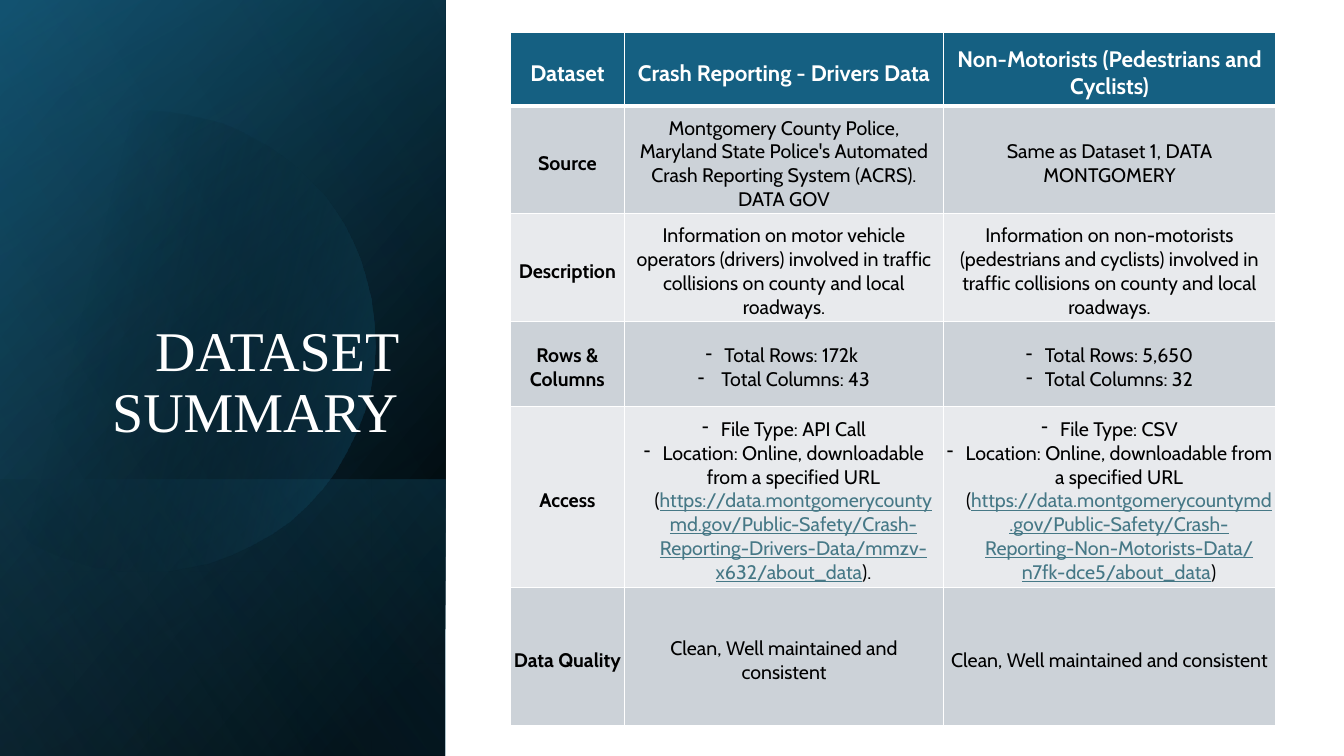
from lxml.etree import SubElement
from pptx import Presentation
from pptx.dml.color import RGBColor
from pptx.enum.shapes import MSO_SHAPE as Preset
from pptx.enum.text import MSO_ANCHOR as Anchor, MSO_AUTO_SIZE as AutoSize, PP_ALIGN as Align
from pptx.oxml import parse_xml
from pptx.oxml.ns import nsdecls, qn
from pptx.util import Pt

THEME = {
    "white": "FFFFFF", "black": "000000", "blue": "156082", "link": "467886",
    "bands": ("CCD2D8", "E8EAED"),
    "title_font": "Times New Roman", "table_font": "Cabin",
    "title_size": 40, "head_size": 16, "body_size": 14,
}

TITLE = "DATASET SUMMARY"
LOCATION = "Location: Online, downloadable from a specified URL ("
SITE = "https://data.montgomerycountymd.gov/Public-Safety/"
# A tuple cell is a bulleted list; a tuple bullet is (text, web address, text).
ROWS = [
    ["Dataset", "Crash Reporting - Drivers Data", "Non-Motorists (Pedestrians and Cyclists)"],
    ["Source",
     "Montgomery County Police, Maryland State Police's Automated Crash "
     "Reporting System (ACRS). DATA GOV",
     "Same as Dataset 1, DATA MONTGOMERY"],
    ["Description",
     "Information on motor vehicle operators (drivers) involved in traffic "
     "collisions on county and local roadways.",
     "Information on non-motorists (pedestrians and cyclists) involved in traffic "
     "collisions on county and local roadways."],
    ["Rows & Columns",
     ("Total Rows: 172k ", " Total Columns: 43"),
     ("Total Rows: 5,650", "Total Columns: 32")],
    ["Access",
     ("File Type: API Call",
      (LOCATION, SITE + "Crash-Reporting-Drivers-Data/mmzv-x632/about_data", ").")),
     ("File Type: CSV",
      (LOCATION, SITE + "Crash-Reporting-Non-Motorists-Data/n7fk-dce5/about_data", ")"))],
    ["Data Quality"] + ["Clean, Well maintained and consistent"] * 2,
]

SLIDE_WIDTH, SLIDE_HEIGHT = 960, 540
PANEL_WIDTH = 318.24
FOOT_HEIGHT = 197.3
TABLE_LEFT, TABLE_TOP = 364.3, 23.04
COLUMN_WIDTHS = [82, 227.5, 237.6]
ROW_HEIGHTS = [52.56, 77.04, 77.04, 60.48, 129.6, 98.64]
CELL_MARGINS = {"margin_left": Pt(2.16), "margin_top": Pt(6.5),
                "margin_right": Pt(2.16), "margin_bottom": Pt(0.7)}
BULLET_INDENT = 13.5

# Gradient stops are (position %, colour, opacity %).
BASE = ([(8, THEME["black"], 100), (100, "104862", 100)], 50)
GLOW = ([(0, THEME["black"], 0), (99, THEME["blue"], 46)], 30)
FOOT = ([(2, THEME["blue"], 29), (100, THEME["black"], 30)], 130)
DISC = ([(29, THEME["black"], 0), (100, THEME["blue"], 43)], 14)
SHEEN = ([(0, THEME["black"], 0), (99, "46B1E1", 11)], 120)

# Disc outline in inches: a start, then curves (three points) and lines (one point).
DISC_START = (1.49, 1.1)
DISC_SEGMENTS = [
    [(2.46, 1.12), (3.35, 1.77), (3.63, 2.75)],
    [(3.98, 3.97), (3.28, 5.23), (2.07, 5.58)],
    [(1.31, 5.8), (0.53, 5.61), (-0.03, 5.14)],
    [(-0.15, 5.03)], [(-0.15, 1.75)], [(0, 1.61)],
    [(0.23, 1.42), (0.5, 1.28), (0.8, 1.19)],
    [(1.03, 1.13), (1.26, 1.1), (1.49, 1.1)],
]
CURVE_STEPS = 16


def set_values(target, values):
    for name, value in values.items():
        setattr(target, name, value)


def style_font(font, name, size, colour, **values):
    set_values(font, {"name": name, "size": Pt(size), **values})
    font.color.rgb = RGBColor.from_string(colour)


def paint_gradient(shape, stops, angle):
    """Give a shape a linear gradient with opacity, no line and no shadow."""
    shape.shadow.inherit = False
    shape.line.fill.background()
    shape.fill.background()
    stop_xml = "".join(
        f'<a:gs pos="{position * 1000}"><a:srgbClr val="{colour}">'
        f'<a:alpha val="{opacity * 1000}"/></a:srgbClr></a:gs>'
        for position, colour, opacity in stops)
    gradient = parse_xml(
        f'<a:gradFill {nsdecls("a")} rotWithShape="1"><a:gsLst>{stop_xml}</a:gsLst>'
        f'<a:lin ang="{angle * 60000}" scaled="0"/></a:gradFill>')
    properties = shape._element.spPr
    properties.replace(properties.find(qn("a:noFill")), gradient)


def add_panel(slide, height, gradient):
    """Add a mirrored, quarter-turned rectangle that rests on the slide's bottom left."""
    left = (PANEL_WIDTH - height) / 2
    top = SLIDE_HEIGHT - (height + PANEL_WIDTH) / 2
    panel = slide.shapes.add_shape(Preset.RECTANGLE, Pt(left), Pt(top), Pt(height), Pt(PANEL_WIDTH))
    panel.rotation = 90
    panel._element.spPr.find(qn("a:xfrm")).set("flipH", "1")
    paint_gradient(panel, *gradient)


def outline_points(start, segments):
    """Turn lines and cubic curves into a list of points."""
    points = [start]
    for segment in segments:
        if len(segment) == 1:
            points += segment
            continue
        controls = [points[-1], *segment]
        for step in range(1, CURVE_STEPS + 1):
            t = step / CURVE_STEPS
            weights = ((1 - t) ** 3, 3 * t * (1 - t) ** 2, 3 * t * t * (1 - t), t ** 3)
            points.append(tuple(sum(w * c[axis] for w, c in zip(weights, controls))
                                for axis in (0, 1)))
    return points


def add_disc(slide):
    points = [(x * 72, y * 72) for x, y in outline_points(DISC_START, DISC_SEGMENTS)]
    builder = slide.shapes.build_freeform(*points[0], scale=Pt(1))
    builder.add_line_segments(points[1:], close=True)
    paint_gradient(builder.convert_to_shape(), *DISC)


def add_title(slide):
    box = slide.shapes.add_textbox(Pt(46), Pt(132.5), Pt(245.5), Pt(188.6))
    set_values(box.text_frame, {"word_wrap": True, "auto_size": AutoSize.NONE,
                                "vertical_anchor": Anchor.BOTTOM})
    paragraph = box.text_frame.paragraphs[0]
    set_values(paragraph, {"text": TITLE, "alignment": Align.RIGHT, "line_spacing": 0.9})
    style_font(paragraph.runs[0].font, THEME["title_font"], THEME["title_size"], THEME["white"])


def add_borders(cell, bottom_width):
    properties = cell._tc.get_or_add_tcPr()
    for side, width in (("L", 1), ("R", 1), ("T", 1), ("B", bottom_width)):
        line = SubElement(properties, qn(f"a:ln{side}"), w=str(Pt(width)))
        fill = SubElement(line, qn("a:solidFill"))
        SubElement(fill, qn("a:srgbClr"), val=THEME["white"])


def add_bullet(paragraph):
    properties = paragraph._p.get_or_add_pPr()
    properties.set("marL", str(Pt(BULLET_INDENT)))
    properties.set("indent", str(-Pt(BULLET_INDENT)))
    SubElement(properties, qn("a:buChar"), char="-")


def fill_cell(cell, content, row, column):
    is_head = row == 0
    add_borders(cell, 3 if is_head else 1)
    cell.fill.solid()
    colour = THEME["blue"] if is_head else THEME["bands"][(row - 1) % 2]
    cell.fill.fore_color.rgb = RGBColor.from_string(colour)
    set_values(cell, {"vertical_anchor": Anchor.MIDDLE, **CELL_MARGINS})

    is_list = isinstance(content, tuple)
    size = THEME["head_size" if is_head else "body_size"]
    text_colour = THEME["white" if is_head else "black"]
    for index, item in enumerate(content if is_list else [content]):
        frame = cell.text_frame
        paragraph = frame.add_paragraph() if index else frame.paragraphs[0]
        paragraph.alignment = Align.CENTER
        if is_list:
            add_bullet(paragraph)
        for part, text in enumerate(item if isinstance(item, tuple) else [item]):
            run = paragraph.add_run()
            run.text = text
            is_link = part == 1
            style_font(run.font, THEME["table_font"], size,
                       THEME["link"] if is_link else text_colour,
                       bold=is_head or column == 0, underline=is_link)


def add_summary_table(slide):
    frame = slide.shapes.add_table(len(ROWS), len(COLUMN_WIDTHS), Pt(TABLE_LEFT), Pt(TABLE_TOP),
                                   Pt(sum(COLUMN_WIDTHS)), Pt(sum(ROW_HEIGHTS)))
    table = frame.table
    for column, width in zip(table.columns, COLUMN_WIDTHS):
        column.width = Pt(width)
    for row, height in zip(table.rows, ROW_HEIGHTS):
        row.height = Pt(height)
    for row, contents in enumerate(ROWS):
        for column, content in enumerate(contents):
            fill_cell(table.cell(row, column), content, row, column)


def main():
    presentation = Presentation()
    set_values(presentation, {"slide_width": Pt(SLIDE_WIDTH), "slide_height": Pt(SLIDE_HEIGHT)})
    slide = presentation.slides.add_slide(presentation.slide_layouts[6])
    for height, gradient in ((SLIDE_HEIGHT, BASE), (SLIDE_HEIGHT, GLOW), (FOOT_HEIGHT, FOOT)):
        add_panel(slide, height, gradient)
    add_disc(slide)
    add_panel(slide, SLIDE_HEIGHT, SHEEN)
    add_title(slide)
    add_summary_table(slide)
    presentation.save("out.pptx")


if __name__ == "__main__":
    main()
